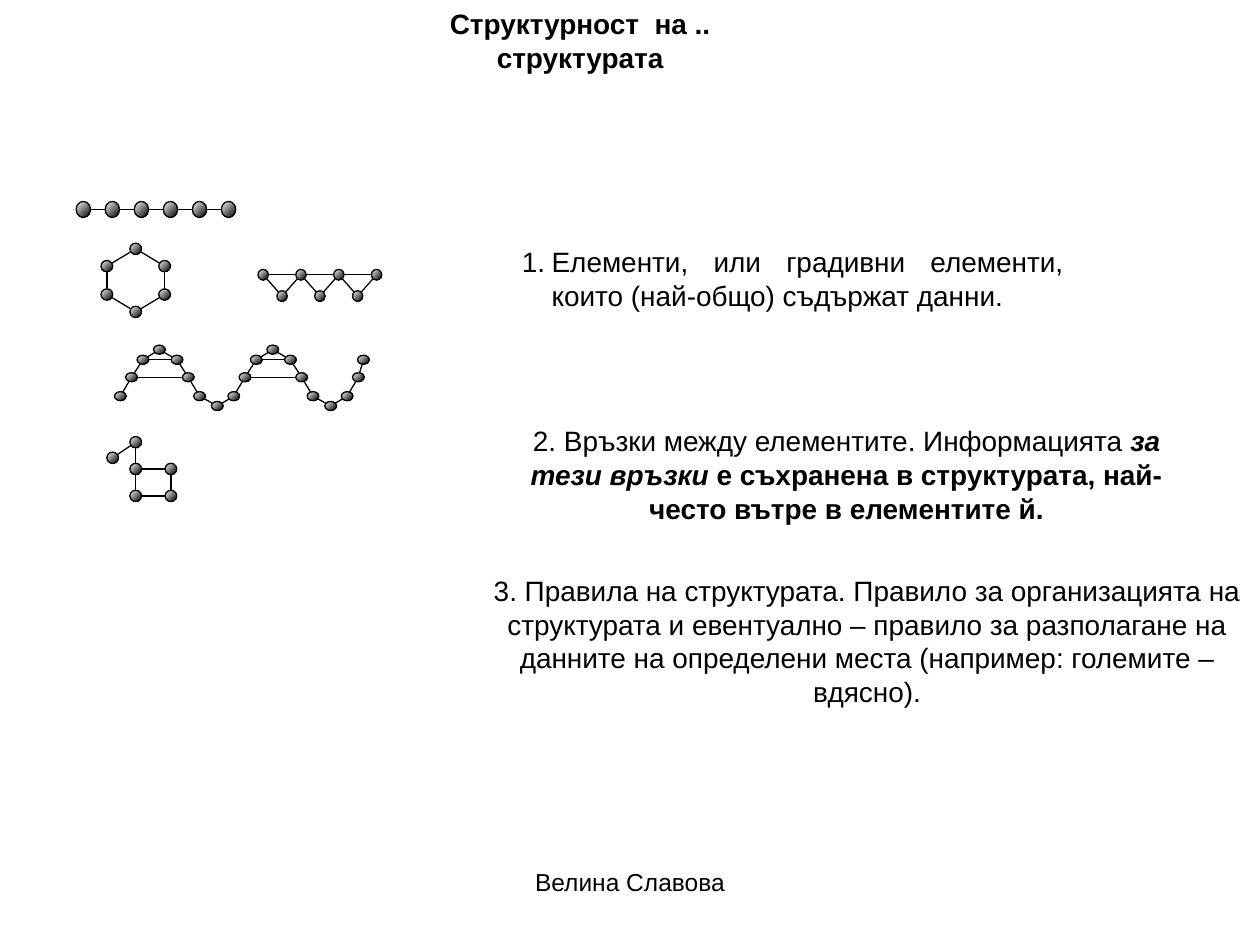
from dataclasses import dataclass

from lxml import etree
from pptx import Presentation
from pptx.dml.color import RGBColor
from pptx.enum import shapes, text
from pptx.oxml import ns
from pptx.util import Pt


@dataclass(frozen=True)
class Theme:
    font: str = "Arial"
    ink: RGBColor = RGBColor(0, 0, 0)
    light: RGBColor = RGBColor(255, 255, 255)
    main: float = 16
    footer: float = 14
    line: float = 0.75


class Deck:
    """Holds the theme and the current slide; lengths are in points."""

    def __init__(self, s, theme):
        self.s, self.theme = s, theme

    def fill_text(self, sp, box, runs, size=None, align=text.PP_ALIGN.CENTER,
                  anchor=text.MSO_ANCHOR.MIDDLE):
        """Place sp and write one paragraph; runs are (text, bold, italic)."""
        sp.left, sp.top, sp.width, sp.height = map(Pt, box)
        tf = sp.text_frame
        tf.word_wrap, tf.auto_size = True, text.MSO_AUTO_SIZE.NONE
        tf.vertical_anchor = anchor
        p = tf.paragraphs[0]
        p.alignment, p.space_before = align, Pt(0)
        for words, bold, italic in runs:
            r = p.add_run()
            r.text = words
            r.font.name, r.font.size = self.theme.font, Pt(size or self.theme.main)
            r.font.bold, r.font.italic = bold, italic
            r.font.color.rgb = self.theme.ink
        return p

    def title(self, box, words):
        self.fill_text(self.s.shapes.title, box, [(words, True, False)],
                       anchor=text.MSO_ANCHOR.BOTTOM)

    def numbered(self, box, words, indent):
        p = self.fill_text(self.s.placeholders[1], box, [(words, False, False)],
                           align=text.PP_ALIGN.JUSTIFY)
        pPr = p._p.get_or_add_pPr()
        pPr.set("marL", str(Pt(indent)))
        pPr.set("indent", str(-Pt(indent)))
        etree.SubElement(pPr, ns.qn("a:buAutoNum"), type="arabicPeriod")

    def textbox(self, box, runs, **style):
        sp = self.s.shapes.add_textbox(*map(Pt, box))
        self.fill_text(sp, box, runs, **style)

    def outline(self, sp):
        sp.line.color.rgb, sp.line.width = self.theme.ink, Pt(self.theme.line)

    def link(self, group, start, end):
        sp = group.shapes.add_connector(
            shapes.MSO_CONNECTOR.STRAIGHT, *map(Pt, start + end))
        self.outline(sp)
        etree.SubElement(sp._element.spPr, ns.qn("a:effectLst"))

    def curve(self, group, points):
        builder = group.shapes.build_freeform(*map(Pt, points[0]))
        builder.add_line_segments([tuple(map(Pt, pt)) for pt in points[1:]], close=False)
        sp = builder.convert_to_shape()
        sp.shadow.inherit = False
        sp.fill.background()
        self.outline(sp)

    def node(self, group, centre, size):
        (x, y), (w, h) = centre, size
        sp = group.shapes.add_shape(
            shapes.MSO_SHAPE.OVAL, *map(Pt, (x - w / 2, y - h / 2, w, h)))
        sp.shadow.inherit = False
        sp.fill.gradient()
        sp.fill.gradient_angle = 315
        for stop, color in zip(sp.fill.gradient_stops, (self.theme.light, self.theme.ink)):
            stop.color.rgb = color
        self.outline(sp)

    def graph(self, nodes, links, size, curve=()):
        """Group nodes given by centre with links given as index pairs."""
        group = self.s.shapes.add_group_shape()
        if curve:
            self.curve(group, curve)
        for a, b in links:
            self.link(group, nodes[a], nodes[b])
        for centre in nodes:
            self.node(group, centre, size)


def draw_structures(deck):
    chain = [(47.6 + 16.6 * i, 119.7) for i in range(6)]
    deck.graph(chain, [(0, 5)], (8.2, 9.2))

    upper = [(150.4 + 21.6 * i, 157) for i in range(4)]
    lower = [(161.2 + 21.6 * i, 169.2) for i in range(3)]
    braces = [(i + k, 4 + i) for i in range(3) for k in (0, 1)]
    deck.graph(upper + lower, [(0, 3)] + braces, (5.9, 6.1))

    square_with_tail = [(64.4, 261.6), (77.6, 252.7), (77.6, 268),
                        (97.7, 268), (97.7, 283.4), (77.6, 283.4)]
    deck.graph(square_with_tail, [(0, 1), (1, 2), (2, 3), (3, 4), (4, 5), (5, 2)],
               (6.7, 6.5))

    hexagon = [(77.6 + dx, 160.2 + dy) for dx, dy in
               ((0, -18), (16.5, -8.1), (16.5, 8.1), (0, 18), (-16.5, 8.1), (-16.5, -8.1))]
    deck.graph(hexagon, [(i, (i + 1) % 6) for i in range(6)], (6.7, 6.5))

    period = [(68.8, 226.4), (75.2, 215.6), (81.7, 205.6), (91.1, 199.8),
              (101.2, 205.6), (107.6, 215.6), (114.1, 226.4), (124.2, 232)]
    wave = [(x + 64.8 * i, y) for i in range(2) for x, y in period]
    wave += [(198.4, 226.4), (204.8, 215.6), (207.7, 205.6)]
    ties = [(8 * i + a, 8 * i + b) for i in range(2) for a, b in ((1, 5), (2, 4))]
    deck.graph(wave, ties, (6.7, 5.2), curve=wave)


def main():
    prs = Presentation()
    prs.slide_width, prs.slide_height = Pt(720), Pt(540)
    deck = Deck(prs.slides.add_slide(prs.slide_layouts[1]), Theme())

    deck.title((200, 0, 263, 46), "Структурност  на .. структурата")
    draw_structures(deck)
    deck.numbered((291, 136, 324, 46),
                  "Елементи, или градивни елементи, които (най-общо) съдържат данни.",
                  indent=17)
    deck.textbox((281.5, 238.5, 404.5, 65), [
        ("2. Връзки между елементите. Информацията ", False, False),
        ("за тези връзки", True, True),
        (" е съхранена в структурата, най-често вътре в елементите й.", True, False)])
    deck.textbox((264, 324, 463, 84.5), [
        ("3. Правила на структурата. Правило за организацията на структурата и "
         "евентуално – правило за разполагане на данните на определени места "
         "(например: големите – вдясно).", False, False)])
    deck.textbox((246, 492, 228, 37.5), [("Велина Славова", False, False)],
                 size=deck.theme.footer, anchor=text.MSO_ANCHOR.TOP)
    prs.save("out.pptx")


if __name__ == "__main__":
    main()
